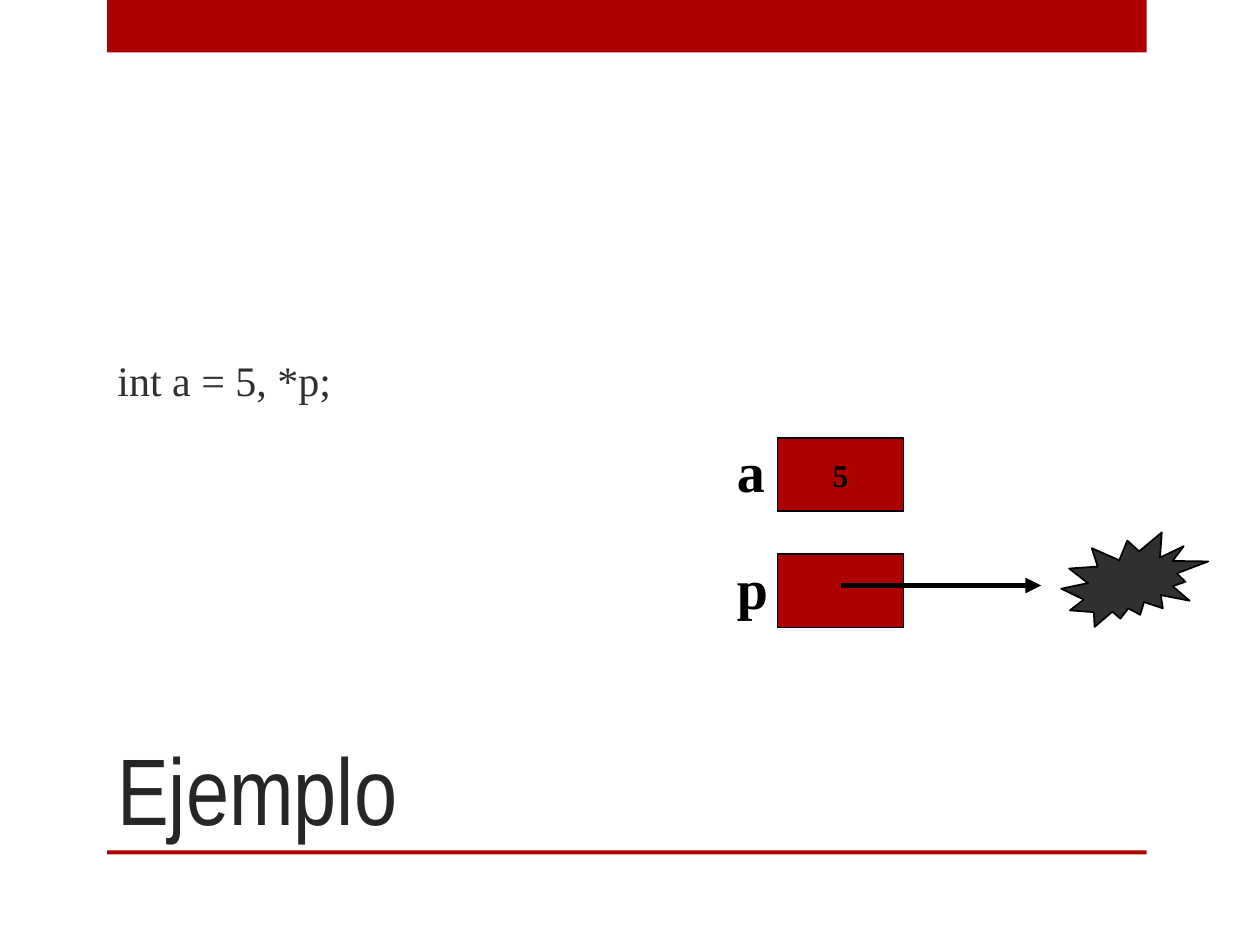
from lxml import etree
from pptx import Presentation
from pptx.dml.color import RGBColor
from pptx.enum import shapes as kinds, text as txt
from pptx.oxml import ns
from pptx.util import Pt

RED, BLACK, TITLE, BODY = "AD0101", "000000", "262626", "303030"
SERIF, NARROW = "Times New Roman", "Arial Narrow"


def color(hex_string):
    return RGBColor.from_string(hex_string)


def write(shape, words, size, font, ink, bold=False, wrap=True,
          anchor=txt.MSO_ANCHOR.TOP, align=txt.PP_ALIGN.LEFT):
    frame = shape.text_frame
    frame.word_wrap, frame.vertical_anchor = wrap, anchor
    line = frame.paragraphs[0]
    line.text, line.alignment = words, align
    line.font.size, line.font.name, line.font.bold = Pt(size), font, bold
    line.font.color.rgb = color(ink)


def add_text(slide, box, *args, **style):
    label = slide.shapes.add_textbox(*map(Pt, box))
    write(label, *args, **style)


def add_filled(slide, kind, box, fill, outline=None):
    shape = slide.shapes.add_shape(kind, *map(Pt, box))
    shape.shadow.inherit = False
    shape.fill.solid()
    shape.fill.fore_color.rgb = color(fill)
    if outline:
        shape.line.color.rgb = color(outline)
        shape.line.width = Pt(1)
    else:
        shape.line.fill.background()
    return shape


def add_arrow(slide, x1, x2, y):
    arrow = slide.shapes.add_connector(
        kinds.MSO_CONNECTOR.STRAIGHT, Pt(x1), Pt(y), Pt(x2), Pt(y))
    arrow.line.color.rgb = color(BLACK)
    arrow.line.width = Pt(3)
    etree.SubElement(arrow.line._get_or_add_ln(), ns.qn("a:tailEnd"), type="triangle")
    etree.SubElement(arrow._element.spPr, ns.qn("a:effectLst"))


def page_frame(slide, left, width):
    # Top band and rule under the title
    for top, height in ((0, 30), (486, 2.2)):
        add_filled(slide, kinds.MSO_SHAPE.RECTANGLE, (left, top, width, height), RED)


def wording(slide, left, top):
    # Declaration above, title at the foot
    add_text(slide, (left, top, 594, 316), "int a = 5, *p;", 24, SERIF, BODY,
             anchor=txt.MSO_ANCHOR.MIDDLE)
    add_text(slide, (left, top + 301, 534, 126), "Ejemplo", 54, NARROW, TITLE,
             anchor=txt.MSO_ANCHOR.BOTTOM)


def memory_diagram(slide, left, top):
    cell_left, cell_width, cell_height, pitch = left + 30.4, 72, 42, 66.4
    # Variables with their cells
    for row, (name, value) in enumerate((("a", "5"), ("p", ""))):
        y = top + row * pitch
        cell = add_filled(slide, kinds.MSO_SHAPE.RECTANGLE,
                          (cell_left, y, cell_width, cell_height), RED, BLACK)
        if value:
            write(cell, value, 18, SERIF, BLACK, bold=True, wrap=False,
                  anchor=txt.MSO_ANCHOR.MIDDLE, align=txt.PP_ALIGN.CENTER)
        add_text(slide, (left, y - 4, 31, 45), name, 32, SERIF, BLACK,
                 bold=True, wrap=False)
    # Pointer to an unknown place
    add_arrow(slide, cell_left + cell_width / 2, left + 181, top + 84.4)
    add_filled(slide, kinds.MSO_SHAPE.EXPLOSION2,
               (left + 192.4, top + 54, 84, 54), BODY, BLACK)


deck = Presentation()
deck.slide_width, deck.slide_height = Pt(720), Pt(540)
page = deck.slides.add_slide(deck.slide_layouts[6])
page_frame(page, 61.2, 594)
wording(page, 60, 59)
memory_diagram(page, 414, 250.2)
deck.save("out.pptx")
